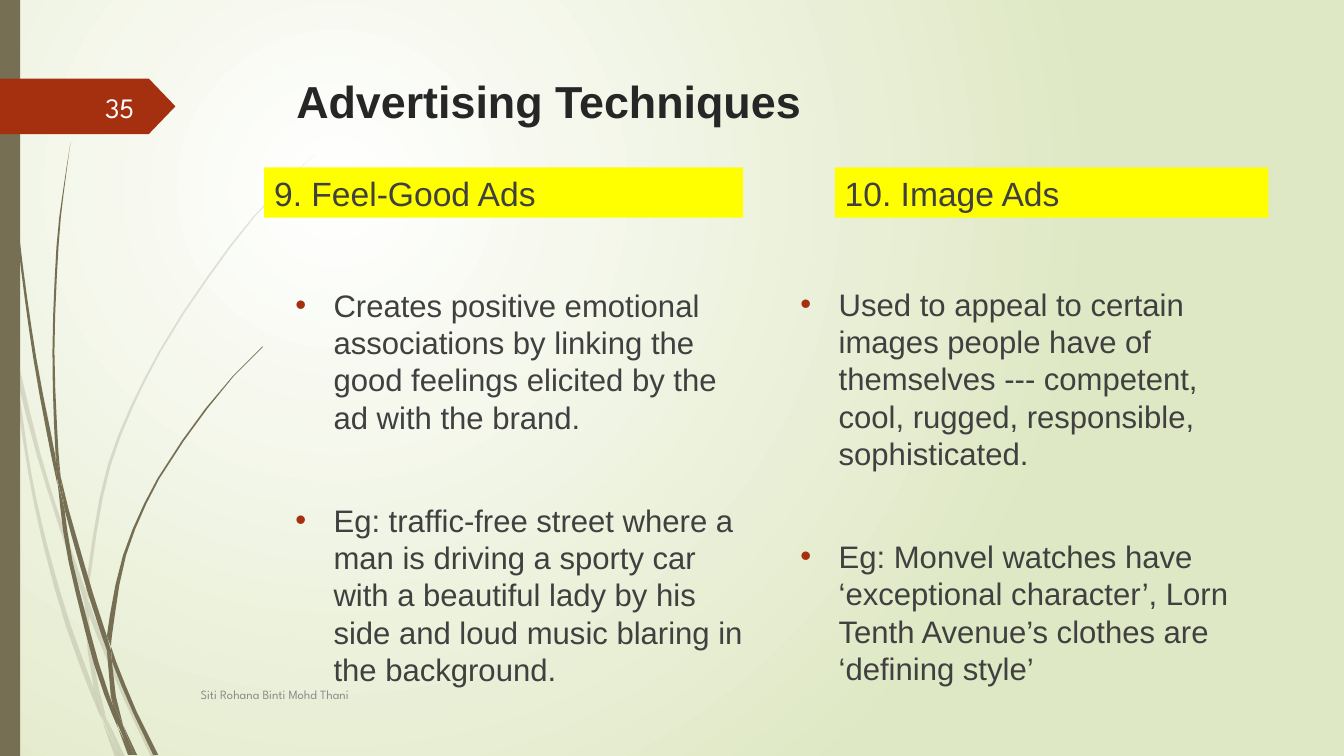
from pptx import Presentation
from pptx import util as u
from pptx.dml.color import RGBColor
from pptx.enum import shapes, text
from pptx.oxml import parse_xml
from pptx.oxml.ns import nsdecls, qn

W, H = 13.33, 7.5
STEP = 0.3
C = {"bark": "766F54", "rust": "A53010", "yellow": "FFFF00", "title": "262626",
     "body": "404040", "note": "8C8C8C", "white": "FFFFFF", "number": "FEFFFF",
     "sage": "DFE8C4"}
SANS, SPARTAN = "Arial", "League Spartan"

TITLE = "Advertising Techniques"
NUMBER = "35"
AUTHOR = "Siti Rohana Binti Mohd Thani"
COLUMNS = [
    {"heading": "9. Feel-Good Ads", "band": (2.62, 1.66, 4.75, 0.5),
     "body": (2.83, 2.79, 4.75, 3.67),
     "points": ["Creates positive emotional associations by linking the good feelings "
                "elicited by the ad with the brand.",
                "Eg: traffic-free street where a man is driving a sporty car with a "
                "beautiful lady by his side and loud music blaring in the background."]},
    {"heading": "10. Image Ads", "band": (8.28, 1.66, 4.3, 0.5),
     "body": (7.84, 2.78, 4.74, 3.67),
     "points": ["Used to appeal to certain images people have of themselves --- "
                "competent, cool, rugged, responsible, sophisticated.",
                "Eg: Monvel watches have ‘exceptional character’, Lorn Tenth Avenue’s "
                "clothes are ‘defining style’"]},
]

# Each blade segment is a list of (y, left edge, right edge).
PALE_BLADES = [
    [(2.82, 0, 0), (2.99, 0, 0.04), (3.22, 0.05, 0.09), (3.5, 0.11, 0.11)],
    [(3.45, 0.14, 0.14), (3.76, 0.17, 0.22), (4.5, 0.36, 0.4), (5.21, 0.58, 0.62),
     (5.86, 0.8, 0.85), (5.99, 0.84, 0.84)],
    [(5.96, 0.88, 0.88), (6.1, 0.88, 0.93), (6.94, 1.23, 1.28), (7.51, 1.5, 1.55)],
    [(7.11, 1.05, 1.05), (7.51, 1.19, 1.24)],
    [(3.5, 0.11, 0.11), (3.76, 0.14, 0.17), (4.69, 0.28, 0.31), (5.45, 0.44, 0.48),
     (6.2, 0.65, 0.7), (6.83, 0.88, 0.93), (7.14, 1.01, 1.01)],
    [(5.99, 0.84, 0.84), (6.1, 0.84, 0.88), (6.46, 0.87, 0.91), (6.83, 0.93, 0.98),
     (7.11, 1.05, 1.05)],
    [(1.53, 3.12, 3.12), (1.75, 2.89, 2.9), (1.97, 2.68, 2.69), (2.45, 2.27, 2.29),
     (3.48, 1.58, 1.6), (4.61, 1.07, 1.1), (5.84, 0.85, 0.88), (5.96, 0.88, 0.88)],
    [(7.14, 1.01, 1.01), (7.51, 1.14, 1.19)],
    [(5.86, 0.85, 0.85), (5.99, 0.84, 0.88), (6.1, 0.88, 0.88)],
    [(6.83, 0.93, 0.93), (7.07, 0.99, 1.03), (7.51, 1.19, 1.19)],
]
DARK_BLADES = [
    [(0, 0.03, 0.04), (0.48, 0.04, 0.05), (1.1, 0.07, 0.08), (2.33, 0.17, 0.19),
     (3.55, 0.33, 0.36), (4.53, 0.51, 0.55), (4.81, 0.57, 0.57)],
    [(4.72, 0.6, 0.6), (5.05, 0.64, 0.68), (5.91, 0.88, 0.93), (6.31, 1.01, 1.06),
     (6.45, 1.06, 1.06)],
    [(6.41, 1.1, 1.1), (6.56, 1.11, 1.15), (7.07, 1.32, 1.36), (7.49, 1.52, 1.57)],
    [(4.77, 0.57, 0.57), (5.05, 0.6, 0.64), (5.57, 0.68, 0.72), (6.58, 0.93, 0.98),
     (7.08, 1.11, 1.15), (7.22, 1.17, 1.17)],
    [(1.41, 0.7, 0.7), (1.93, 0.62, 0.63), (2.45, 0.56, 0.58), (3.49, 0.52, 0.54),
     (4.49, 0.55, 0.58), (4.72, 0.6, 0.6)],
    [(7.19, 1.22, 1.22), (7.49, 1.33, 1.36)],
    [(4.49, 0.55, 0.55), (4.72, 0.56, 0.6), (5.05, 0.64, 0.64)],
    [(3.44, 2.6, 2.61), (3.73, 2.31, 2.32), (4.05, 2.04, 2.06), (4.75, 1.56, 1.58),
     (5.51, 1.22, 1.25), (6.31, 1.06, 1.11), (6.41, 1.1, 1.1)],
    [(7.22, 1.17, 1.17), (7.49, 1.27, 1.31)],
    [(6.45, 1.06, 1.06), (6.56, 1.07, 1.11), (6.91, 1.1, 1.15), (7.19, 1.22, 1.22)],
    [(6.31, 1.06, 1.06), (6.45, 1.06, 1.1), (6.56, 1.11, 1.11)],
    [(6.91, 1.1, 1.1), (7.17, 1.16, 1.21), (7.49, 1.3, 1.33)],
]


def rgb(name):
    return RGBColor.from_string(C[name])


def paint(sp, color, alpha=None):
    sp.shadow.inherit = False
    sp.fill.solid()
    sp.fill.fore_color.rgb = rgb(color)
    sp.line.fill.background()
    if alpha:
        clr = sp._element.spPr.find(qn("a:solidFill"))[0]
        clr.append(parse_xml(f'<a:alpha {nsdecls("a")} val="{alpha * 1000}"/>'))
    return sp


def add_block(s, kind, box, color):
    return paint(s.shapes.add_shape(kind, *map(u.Inches, box)), color)


def smooth(knots):
    ends = [knots[0], *knots, knots[-1]]
    curve = []
    for a, b, c, d in zip(ends, ends[1:], ends[2:], ends[3:]):
        steps = max(1, round((c[0] - b[0]) / STEP))
        for i in range(steps):
            t = i / steps
            curve.append(tuple(
                (2 * q + (r - p) * t + (2 * p - 5 * q + 4 * r - v) * t ** 2
                 + (3 * q - p - 3 * r + v) * t ** 3) / 2
                for p, q, r, v in zip(a, b, c, d)))
    return curve + [knots[-1]]


def add_blade(s, knots, alpha=None):
    curve = smooth(knots)
    edge = [(left, y) for y, left, _ in curve] + [(right, y) for y, _, right in curve[::-1]]
    edge = [(u.Inches(x), u.Inches(y)) for x, y in edge]
    builder = s.shapes.build_freeform(*edge[0])
    builder.add_line_segments(edge[1:], close=True)
    paint(builder.convert_to_shape(), "bark", alpha)


def add_text(s, paragraphs, box, size=24, color="body", font=SANS, bold=False,
             align=text.PP_ALIGN.LEFT, anchor=text.MSO_ANCHOR.TOP, fill=None,
             bullet=None, gap=0):
    if fill:
        sp = add_block(s, shapes.MSO_SHAPE.RECTANGLE, box, fill)
    else:
        sp = s.shapes.add_textbox(*map(u.Inches, box))
    tf = sp.text_frame
    tf.word_wrap = True
    tf.vertical_anchor = anchor
    for i, line in enumerate(paragraphs):
        p = tf.add_paragraph() if i else tf.paragraphs[0]
        p.alignment = align
        if i:
            p.space_before = u.Pt(gap)
        if bullet:
            pPr = p._p.get_or_add_pPr()
            pPr.set("marL", str(u.Inches(0.38)))
            pPr.set("indent", str(u.Inches(-0.38)))
            for xml in (f'<a:buClr {nsdecls("a")}><a:srgbClr val="{C["rust"]}"/></a:buClr>',
                        f'<a:buFont {nsdecls("a")} typeface="{SANS}"/>',
                        f'<a:buChar {nsdecls("a")} char="{bullet}"/>'):
                pPr.append(parse_xml(xml))
        r = p.add_run()
        r.text = line
        r.font.size = u.Pt(size)
        r.font.name = font
        r.font.bold = bold
        r.font.color.rgb = rgb(color)


def add_background(s):
    fill = s.background.fill
    fill.gradient()
    for stop, color in zip(fill.gradient_stops, ("white", "sage")):
        stop.color.rgb = rgb(color)
    grad = s.background._cSld.find(".//" + qn("a:gradFill"))
    grad.replace(grad.find(qn("a:lin")), parse_xml(
        f'<a:path {nsdecls("a")} path="circle">'
        '<a:fillToRect l="50000" t="50000" r="100000" b="100000"/></a:path>'))


def main():
    prs = Presentation()
    prs.slide_width, prs.slide_height = u.Inches(W), u.Inches(H)
    s = prs.slides.add_slide(prs.slide_layouts[6])
    add_background(s)
    for blades, alpha in ((PALE_BLADES, 20), (DARK_BLADES, None)):
        for knots in blades:
            add_blade(s, knots, alpha)
    add_block(s, shapes.MSO_SHAPE.RECTANGLE, (0, 0, 0.2, H), "bark")
    tag = add_block(s, shapes.MSO_SHAPE.PENTAGON, (0, 0.78, 1.74, 0.55), "rust")
    tag.adjustments[0] = 0.48

    add_text(s, [TITLE], (2.84, 0.68, 9.75, 0.84), size=32, color="title", bold=True)
    for col in COLUMNS:
        add_text(s, [col["heading"]], col["band"], fill="yellow",
                 anchor=text.MSO_ANCHOR.BOTTOM)
        add_text(s, col["points"], col["body"], size=22.2, bullet="•", gap=47)
    add_text(s, [NUMBER], (0.58, 0.86, 0.85, 0.4), size=20, color="number", font=SPARTAN,
             align=text.PP_ALIGN.RIGHT, anchor=text.MSO_ANCHOR.MIDDLE)
    add_text(s, [AUTHOR], (1.89, 6.57, 2.41, 0.63), size=9, color="note", font=SPARTAN,
             anchor=text.MSO_ANCHOR.MIDDLE)
    prs.save("out.pptx")


if __name__ == "__main__":
    main()
